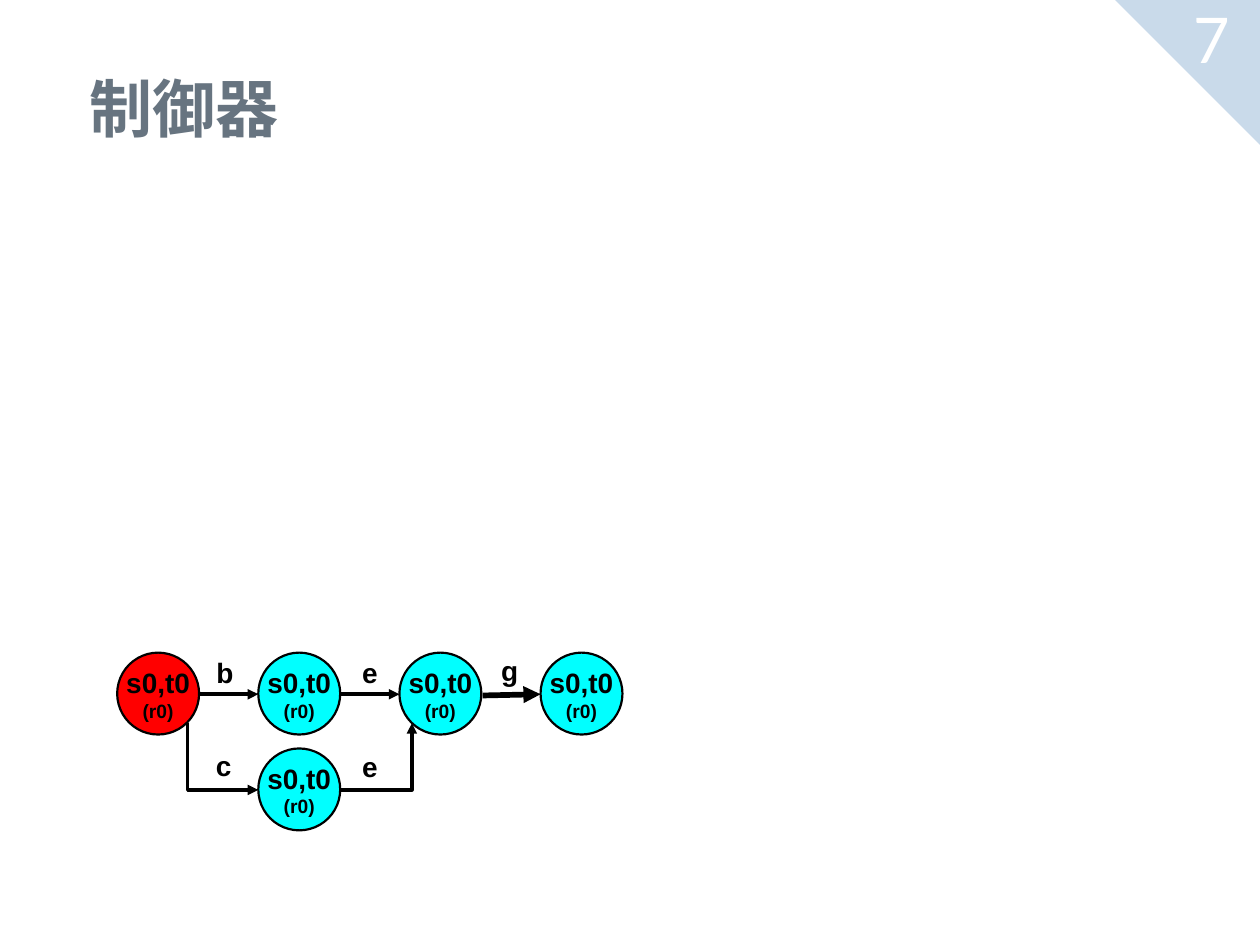
from dataclasses import dataclass

from lxml.etree import SubElement
from pptx import Presentation
from pptx.dml.color import RGBColor
from pptx.enum.shapes import MSO_CONNECTOR, MSO_SHAPE
from pptx.enum.text import MSO_ANCHOR, PP_ALIGN
from pptx.oxml.ns import qn
from pptx.util import Inches, Pt

BLACK = RGBColor(0, 0, 0)
WHITE = RGBColor(255, 255, 255)
RED = RGBColor(255, 0, 0)
CYAN = RGBColor(0x01, 0xFF, 0xFF)
SLATE = RGBColor(0x67, 0x74, 0x80)
PALE_BLUE = RGBColor(0xC9, 0xDA, 0xEA)

DIAMETER = 0.65
LEFT, STEP = 0.93, 1.12
TOP_ROW, BOTTOM_ROW = 5.18, 5.94
LABEL_FORMAT = {"name": "Arial", "size": Pt(16), "bold": True}


@dataclass
class State:
    column: int
    top: float
    fill: RGBColor = CYAN


@dataclass
class Label:
    text: str
    left: float
    top: float


@dataclass
class Arrow:
    begin: tuple[float, float]
    end: tuple[float, float]
    width: float = 2
    bent: bool = False
    arrowhead: str = "a:tailEnd"


STATES = [
    State(0, TOP_ROW, RED),
    State(1, BOTTOM_ROW),
    State(1, TOP_ROW),
    State(2, TOP_ROW),
    State(3, TOP_ROW),
]
LABELS = [
    Label("b", 1.51, 5.15),
    Label("c", 1.5, 5.89),
    Label("e", 2.66, 5.15),
    Label("e", 2.66, 5.9),
    Label("g", 3.77, 5.14),
]
# An elbow leaves its begin point sideways, so the one into c starts at its arrowhead.
ARROWS = [
    Arrow((1.59, 5.51), (2.05, 5.51)),
    Arrow((2.71, 5.51), (3.17, 5.51)),
    Arrow((3.83, 5.52), (4.29, 5.51), width=3.25),
    Arrow((2.05, 6.27), (1.49, 5.74), bent=True, arrowhead="a:headEnd"),
    Arrow((2.71, 6.27), (3.27, 5.74), bent=True),
]


def add_run(p, text: str, color: RGBColor, **formats) -> None:
    r = p.add_run()
    r.text = text
    r.font.color.rgb = color
    for name, value in formats.items():
        setattr(r.font, name, value)


def add_text(s, text: str, box: tuple, color: RGBColor, inset: float = 0.05,
             align=PP_ALIGN.CENTER, anchor=MSO_ANCHOR.TOP, **formats) -> None:
    """Add a one-line text box; inset is its top and bottom margin."""
    tf = s.shapes.add_textbox(*map(Inches, box)).text_frame
    tf.word_wrap = True
    tf.vertical_anchor = anchor
    tf.margin_top = tf.margin_bottom = Inches(inset)
    p = tf.paragraphs[0]
    p.alignment = align
    add_run(p, text, color, **formats)


def add_corner(s) -> None:
    sp = s.shapes.add_shape(MSO_SHAPE.RIGHT_TRIANGLE, Inches(8.83), Inches(-0.02),
                            Inches(1.18), Inches(1.18))
    sp.rotation = 180
    sp.shadow.inherit = False
    sp.fill.solid()
    sp.fill.fore_color.rgb = PALE_BLUE
    sp.line.fill.background()


def add_state(s, state: State) -> None:
    sp = s.shapes.add_shape(MSO_SHAPE.OVAL, Inches(LEFT + STEP * state.column),
                            Inches(state.top), Inches(DIAMETER), Inches(DIAMETER))
    sp.shadow.inherit = False
    sp.fill.solid()
    sp.fill.fore_color.rgb = state.fill
    sp.line.color.rgb = BLACK
    sp.line.width = Pt(1.25)
    tf = sp.text_frame
    tf.word_wrap = False
    tf.vertical_anchor = MSO_ANCHOR.MIDDLE
    p = tf.paragraphs[0]
    p.alignment = PP_ALIGN.CENTER
    add_run(p, "s0,t0", BLACK, **LABEL_FORMAT)
    p.add_line_break()
    add_run(p, "(r0)", BLACK, **LABEL_FORMAT | {"size": Pt(11)})


def add_arrow(s, arrow: Arrow) -> None:
    kind = MSO_CONNECTOR.ELBOW if arrow.bent else MSO_CONNECTOR.STRAIGHT
    line = s.shapes.add_connector(kind, *map(Inches, arrow.begin + arrow.end))
    line.line.color.rgb = BLACK
    line.line.width = Pt(arrow.width)
    sp_pr = line._element.spPr
    if arrow.bent:
        sp_pr.find(qn("a:prstGeom")).set("prst", "bentConnector2")
    SubElement(sp_pr.find(qn("a:ln")), qn(arrow.arrowhead), type="triangle")
    SubElement(sp_pr, qn("a:effectLst"))


def main() -> None:
    prs = Presentation()
    prs.slide_width, prs.slide_height = Inches(10), Inches(7.5)
    s = prs.slides.add_slide(prs.slide_layouts[6])

    add_corner(s)
    add_text(s, "7", (9.19, -0.1, 0.85, 0.75), WHITE, inset=0.1,
             name="Lato", size=Pt(36))
    add_text(s, "制御器", (0.61, 0, 9.39, 1.25), SLATE, inset=0.1,
             align=PP_ALIGN.LEFT, anchor=MSO_ANCHOR.BOTTOM,
             name="Calibri", size=Pt(36), bold=True)
    for state in STATES:
        add_state(s, state)
    for label in LABELS:
        add_text(s, label.text, (label.left, label.top, 0.55, 0.37), BLACK,
                 **LABEL_FORMAT)
    for arrow in ARROWS:
        add_arrow(s, arrow)

    prs.save("out.pptx")


if __name__ == "__main__":
    main()
